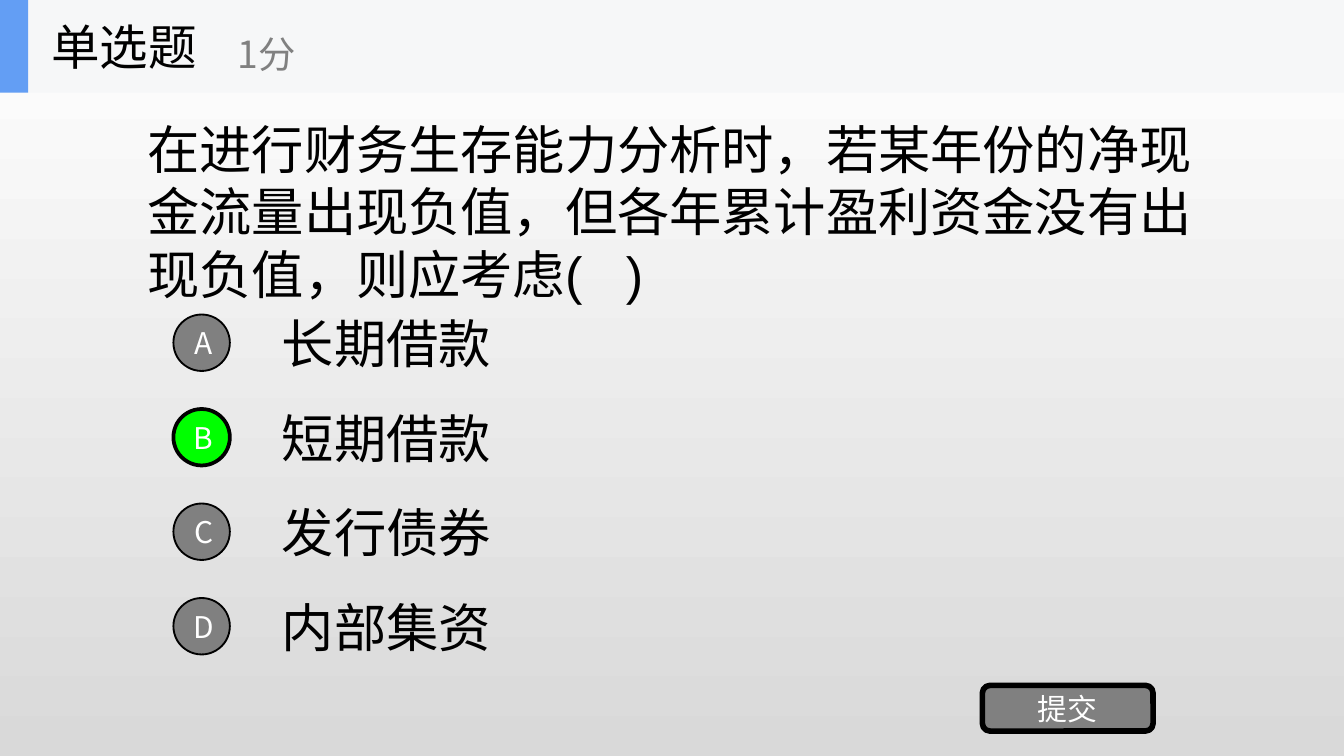
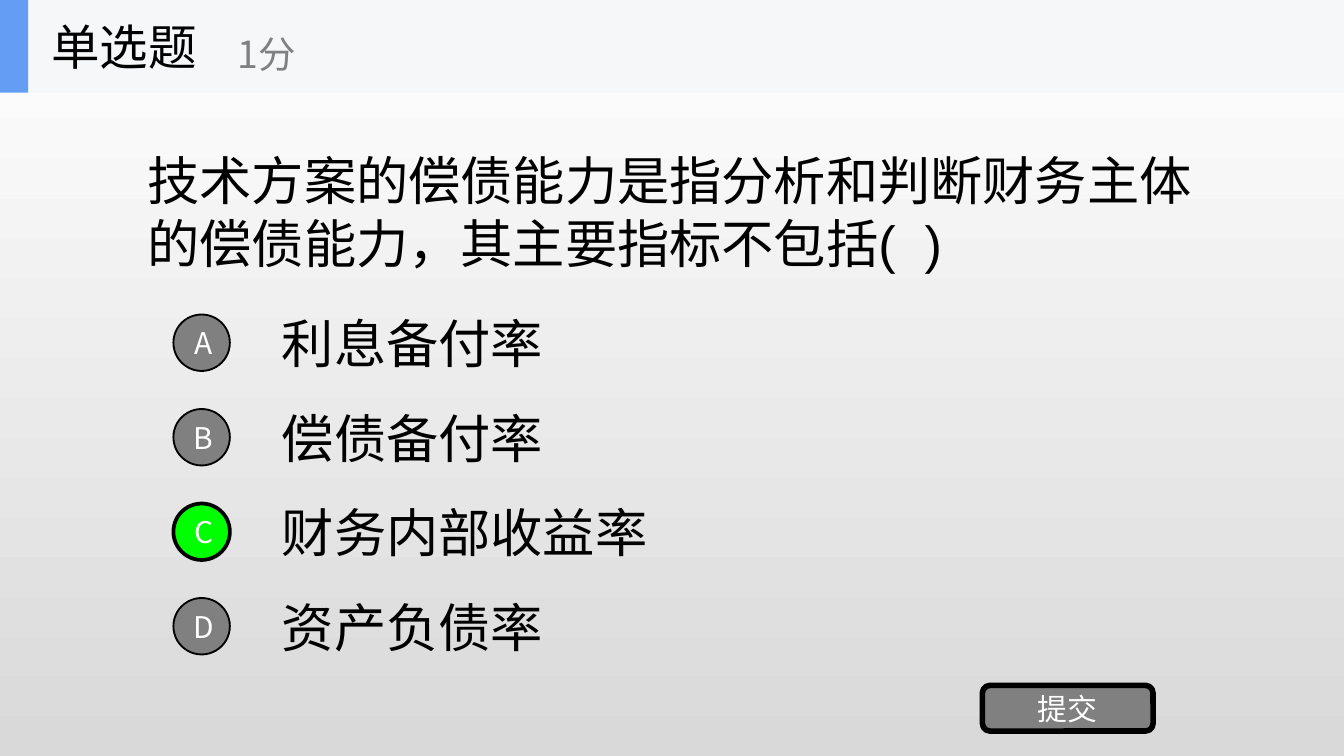
from dataclasses import dataclass

from lxml import etree
from pptx import Presentation
from pptx.dml.color import RGBColor
from pptx.enum import shapes, text
from pptx.oxml import ns
from pptx.util import Inches, Pt

# Shared look
BLACK = RGBColor(0x00, 0x00, 0x00)
WHITE = RGBColor(0xFF, 0xFF, 0xFF)
GRAY = RGBColor(0x80, 0x80, 0x80)
GREEN = RGBColor(0x00, 0xFF, 0x00)
BLUE = RGBColor(0x63, 0x9E, 0xF4)
BAND = RGBColor(0xF6, 0xF7, 0xF8)
BACKDROP_END = RGBColor(0xD9, 0xD9, 0xD9)
BODY_FONT = "Arial"
CJK_FONT = "Noto Sans CJK SC"

SLIDE_WIDTH = 10
SLIDE_HEIGHT = SLIDE_WIDTH * 9 / 16
HEADER_HEIGHT = 0.69
OPTION_STEP = SLIDE_HEIGHT / 8
OPTION_TOP = 3.25 * OPTION_STEP
OPTION_HEIGHT = 0.53
BADGE_SIZE = 0.42


@dataclass(frozen=True)
class Box:
    left: float
    top: float
    width: float
    height: float

    def lengths(self) -> tuple:
        return tuple(Inches(n) for n in (self.left, self.top, self.width, self.height))


@dataclass(frozen=True)
class TextStyle:
    size: int
    color: RGBColor
    font: str = CJK_FONT
    align: text.PP_ALIGN = text.PP_ALIGN.LEFT


@dataclass(frozen=True)
class Question:
    prompt: str
    options: tuple[str, ...]
    answer: str


TITLE = TextStyle(26, BLACK)
SCORE = TextStyle(20, GRAY)
BODY = TextStyle(28, BLACK, BODY_FONT)
LABEL = TextStyle(16, WHITE, align=text.PP_ALIGN.CENTER)

QUESTIONS = (
    Question(
        "在进行财务生存能力分析时，若某年份的净现金流量出现负值，"
        "但各年累计盈利资金没有出现负值，则应考虑(   )",
        ("长期借款", "短期借款", "发行债券", "内部集资"),
        "B",
    ),
    Question(
        "技术方案的偿债能力是指分析和判断财务主体的偿债能力，其主要指标不包括(  )",
        ("利息备付率", "偿债备付率", "财务内部收益率", "资产负债率"),
        "C",
    ),
)


def write(shape, words: str, style: TextStyle, wrap: bool = True) -> None:
    frame = shape.text_frame
    frame.text = words
    frame.word_wrap = wrap
    frame.auto_size = text.MSO_AUTO_SIZE.NONE
    frame.vertical_anchor = text.MSO_ANCHOR.MIDDLE
    paragraph = frame.paragraphs[0]
    paragraph.alignment = style.align
    for run in paragraph.runs:
        run.font.size = Pt(style.size)
        run.font.name = style.font
        run.font.color.rgb = style.color
        latin = run.font._element.find(ns.qn("a:latin"))
        east_asian = etree.Element(ns.qn("a:ea"), typeface=CJK_FONT)
        latin.addnext(east_asian)


def add_text(slide, box: Box, words: str, style: TextStyle, wrap: bool = True) -> None:
    label = slide.shapes.add_textbox(*box.lengths())
    write(label, words, style, wrap)


def add_block(slide, kind: shapes.MSO_SHAPE, box: Box, fill: RGBColor, line: int = 0):
    block = slide.shapes.add_shape(kind, *box.lengths())
    block.shadow.inherit = False
    block.fill.solid()
    block.fill.fore_color.rgb = fill
    if line:
        block.line.color.rgb = BLACK
        block.line.width = Pt(line)
    else:
        block.line.fill.background()
    return block


def paint_background(slide) -> None:
    fill = slide.background.fill
    fill.gradient()
    fill.gradient_angle = 270
    for stop, color, position in zip(fill.gradient_stops, (WHITE, BACKDROP_END), (0, 1)):
        stop.color.rgb = color
        stop.position = position


def add_header(slide) -> None:
    rectangle = shapes.MSO_SHAPE.RECTANGLE
    add_block(slide, rectangle, Box(0, 0, SLIDE_WIDTH, HEADER_HEIGHT), BAND)
    accent = add_block(slide, rectangle, Box(0, 0, 0.21, HEADER_HEIGHT), BLUE)
    title = slide.shapes.title
    title.left, title.top, title.width, title.height = Box(
        0.28, 0, 2.08, HEADER_HEIGHT
    ).lengths()
    write(title, "单选题", TITLE, wrap=False)
    accent.element.addnext(title.element)  # lift the title above the band
    add_text(slide, Box(1.67, 0.12, 2.5, 0.56), "1分", SCORE, wrap=False)


def add_option(slide, row: int, words: str) -> None:
    top = OPTION_TOP + row * OPTION_STEP
    add_text(slide, Box(2, top, 7, OPTION_HEIGHT), words, BODY)


def add_badge(slide, row: int, letter: str, correct: bool) -> None:
    top = OPTION_TOP + row * OPTION_STEP + (OPTION_HEIGHT - BADGE_SIZE) / 2
    badge = add_block(
        slide,
        shapes.MSO_SHAPE.OVAL,
        Box(1.29, top, BADGE_SIZE, BADGE_SIZE),
        GREEN if correct else GRAY,
        2 if correct else 1,
    )
    write(badge, letter, LABEL)
    badge.text_frame.margin_left = Inches(0.03)
    badge.text_frame.margin_right = 0


def add_question(deck, question: Question) -> None:
    slide = deck.slides.add_slide(deck.slide_layouts[5])
    paint_background(slide)

    # Prompt and answers
    add_text(slide, Box(1, HEADER_HEIGHT, 8, 1.76), question.prompt, BODY)
    for row, words in enumerate(question.options):
        add_option(slide, row, words)
    for row, letter in enumerate("ABCD"):
        add_badge(slide, row, letter, letter == question.answer)

    # Submit button
    submit = add_block(
        slide, shapes.MSO_SHAPE.ROUNDED_RECTANGLE, Box(7.31, 5.1, 1.27, 0.34), GRAY, 3
    )
    write(submit, "提交", LABEL)

    add_header(slide)


def main() -> None:
    deck = Presentation()
    deck.slide_width = Inches(SLIDE_WIDTH)
    deck.slide_height = Inches(SLIDE_HEIGHT)
    for question in QUESTIONS:
        add_question(deck, question)
    deck.save("out.pptx")


if __name__ == "__main__":
    main()
